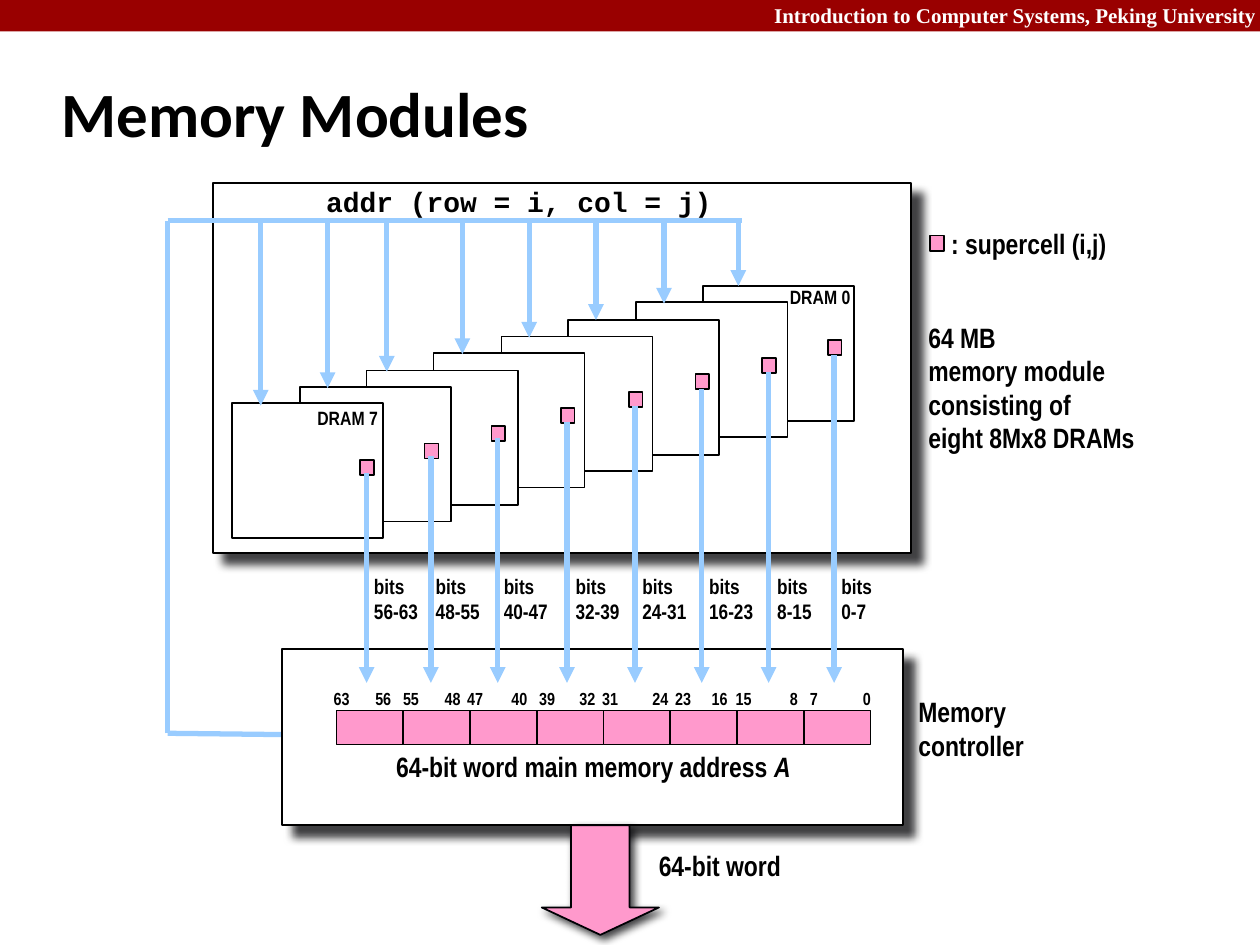
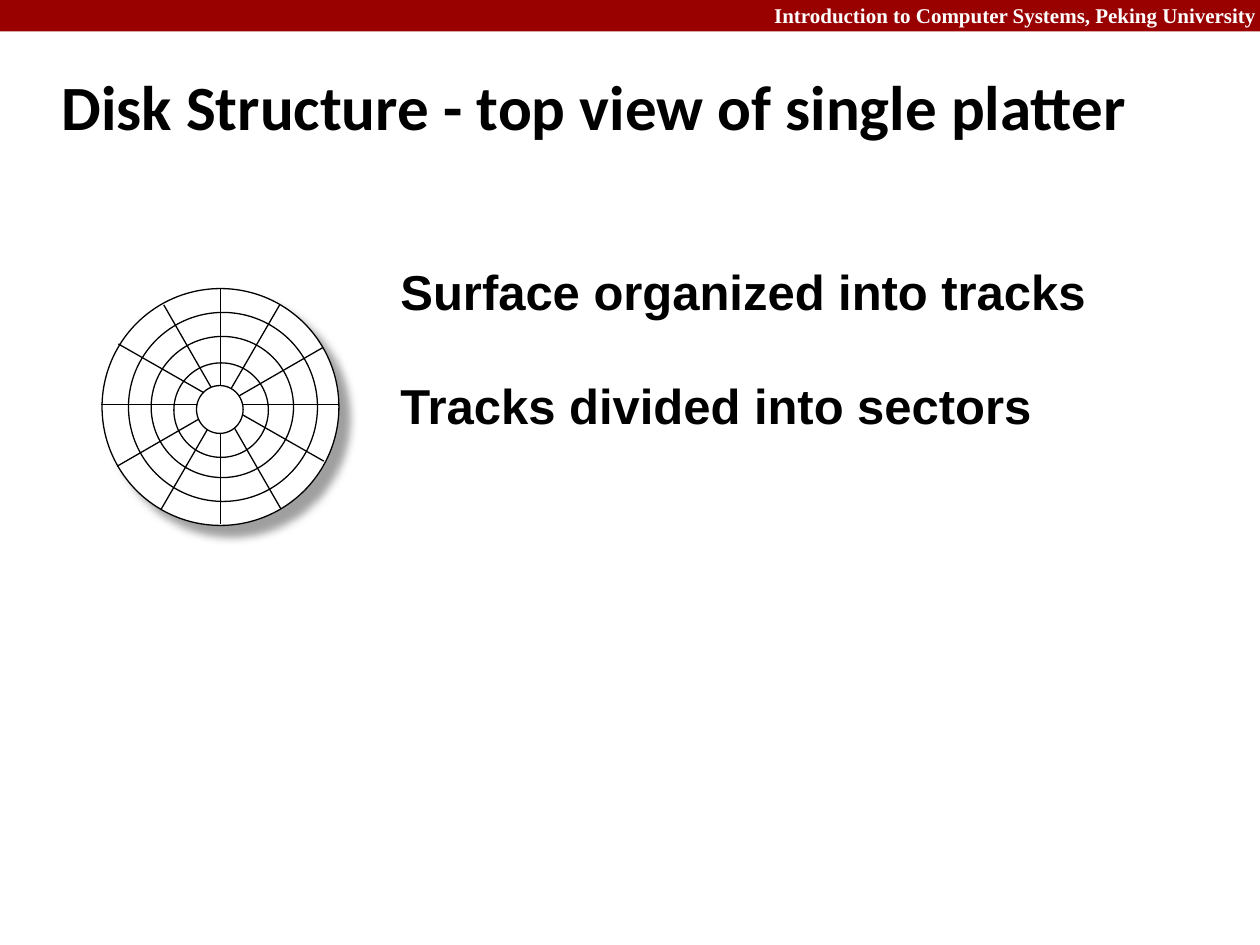
import pptx
import pptx.dml.color
import pptx.enum.shapes
import pptx.enum.text
import pptx.oxml
import pptx.oxml.ns
import pptx.util
from lxml import etree

PX = 9144
BLACK, WHITE, RED = "000000", "FFFFFF", "990000"
PINK, SKY, SHADE, GREY = "FF99CC", "99CCFF", "000004", "808080"
NARROW = "Arial Narrow"
SHAPE = pptx.enum.shapes.MSO_SHAPE
ALIGN = pptx.enum.text.PP_ALIGN
ANCHOR = pptx.enum.text.MSO_ANCHOR
FIT = pptx.enum.text.MSO_AUTO_SIZE
qn = pptx.oxml.ns.qn


def emu(*lengths):
    return [pptx.util.Emu(n * PX) for n in lengths]


def color(value):
    return pptx.dml.color.RGBColor.from_string(value)


class Deck:
    def __init__(self):
        self.prs = pptx.Presentation()
        self.prs.slide_width, self.prs.slide_height = emu(1000, 750)

    def slide(self):
        self.s = self.prs.slides.add_slide(self.prs.slide_layouts[6])
        self.shape(0, 0, 1000, 25, fill=RED, line=None)
        self.text(600, -3, 407, 30, "Introduction to Computer Systems, Peking University",
                  12, "Times New Roman", WHITE, align=ALIGN.RIGHT,
                  anchor=ANCHOR.TOP, wrap=True)

    def title(self, y, w, words):
        self.text(39, y, w, 83, words, 36, "Calibri", wrap=True, fit=FIT.NONE)

    def shape(self, x, y, w, h, kind=SHAPE.RECTANGLE, fill=WHITE, line=BLACK, width=1):
        sp = self.s.shapes.add_shape(kind, *emu(x, y, w, h))
        sp.shadow.inherit = False
        if fill:
            sp.fill.solid()
            sp.fill.fore_color.rgb = color(fill)
        else:
            sp.fill.background()
        if line:
            sp.line.color.rgb = color(line)
            sp.line.width = pptx.util.Pt(width)
        else:
            sp.line.fill.background()
        return sp

    def shadow(self, sp, tint=SHADE, distance=8.5):
        effects = sp._element.spPr.find(qn("a:effectLst"))
        outer = etree.SubElement(
            effects, qn("a:outerShdw"), blurRad=str(pptx.util.Pt(5)),
            dist=str(pptx.util.Pt(distance)), dir="2700000", algn="tl", rotWithShape="0")
        clr = etree.SubElement(outer, qn("a:srgbClr"), val=tint)
        etree.SubElement(clr, qn("a:alpha"), val="75000")

    def line(self, x1, y1, x2, y2, tint=SKY, width=3, arrow=False):
        cx = self.s.shapes.add_connector(
            pptx.enum.shapes.MSO_CONNECTOR.STRAIGHT, *emu(x1, y1, x2, y2))
        cx.line.color.rgb = color(tint)
        cx.line.width = pptx.util.Pt(width)
        if arrow:
            etree.SubElement(cx.line._get_or_add_ln(), qn("a:tailEnd"), type="triangle")
        etree.SubElement(cx._element.spPr, qn("a:effectLst"))

    def text(self, x, y, w, h, words, size=16, font=NARROW, tint=BLACK,
             align=ALIGN.LEFT, anchor=ANCHOR.MIDDLE, wrap=False, fit=FIT.SHAPE_TO_FIT_TEXT):
        tf = self.s.shapes.add_textbox(*emu(x, y, w, h)).text_frame
        tf.word_wrap, tf.auto_size, tf.vertical_anchor = wrap, fit, anchor
        tf.text = words
        for p in tf.paragraphs:
            p.alignment = align
            p.font.size, p.font.name, p.font.bold = pptx.util.Pt(size), font, True
            p.font.color.rgb = color(tint)
        return tf


def memory_modules(deck):
    deck.slide()
    deck.title(48, 830, "Memory Modules")
    for box in ((169, 145, 554, 294), (224, 515, 493, 140)):
        deck.shadow(deck.shape(*box))
    for i in range(8):
        deck.shape(round(558 - 53.4 * i), round(227 + 13.3 * i), 120, 107)

    deck.shape(738, 187, 11, 12, fill=PINK)
    deck.text(745, 175, 171, 37, ": supercell (i,j)")
    deck.text(727, 249, 220, 117,
              "64 MB\nmemory module\nconsisting of\neight 8Mx8 DRAMs")
    deck.text(719, 546, 123, 64, "Memory\ncontroller")

    deck.line(133, 175, 589, 175)
    deck.text(249, 141, 328, 37, "addr (row = i, col = j)", font="Courier New")
    deck.line(223, 583, 133, 582)
    deck.line(133, 582, 133, 175)
    deck.text(242, 317, 69, 29, "DRAM 7", 11)
    deck.text(617, 221, 69, 29, "DRAM 0", 11)

    address_x = (586, 527, 473, 420, 367, 307, 260, 207)
    data_x = (662, 610, 557, 504, 450, 395, 342, 291)
    bits_x = (658, 607, 553, 500, 447, 390, 336, 287)
    bits_w = (50, 53) + (63,) * 6
    high_x = (633, 574, 526, 468, 418, 361, 310, 255)
    low_x = (675, 617, 555, 508, 450, 396, 343, 288)
    columns = zip(address_x, data_x, bits_x, bits_w, high_x, low_x)
    for i, (address, data, bits, width, high, low) in enumerate(columns):
        first, last = 8 * i, 8 * i + 7
        deck.line(address, 175, address, round(227.4 + 13.5 * i), arrow=True)
        deck.shape(data - 5, round(270 + 13.6 * i), 11, 12, fill=PINK)
        deck.line(data, round(282 + 13.3 * i), data, 542, arrow=True)
        deck.text(bits, 450, width, 50, f"bits\n{first}-{last}", 12)
        for x, bit in ((high, last), (low, first)):
            deck.text(x, 541, 35 if bit > 9 else 28, 27, str(bit), 10)
        deck.shape(638 - 53 * i, 564, 53, 27, fill=PINK)

    tf = deck.text(301, 590, 340, 37, "64-bit word main memory address ", align=ALIGN.CENTER)
    r = tf.paragraphs[0].add_run()
    r.text = "A"
    r.font.italic = True

    arrow = deck.shape(430, 655, 93, 87, SHAPE.DOWN_ARROW, PINK, SHADE)
    arrow.adjustments[1] = 0.25
    deck.shadow(arrow, distance=3)
    deck.text(513, 668, 118, 37, "64-bit word")


def disk_structure(deck):
    deck.slide()
    deck.title(42, 928, "Disk Structure - top view of single platter")
    platter = deck.shape(81, 229, 188, 188, SHAPE.OVAL, width=0.75)
    deck.shadow(platter, GREY)
    spokes = ((175, 229, 175, 416), (222, 242, 128, 404), (256, 276, 93, 370),
              (268, 321, 80, 321), (257, 366, 94, 273), (223, 404, 130, 242))
    for spoke in spokes:
        deck.line(*spoke, BLACK, 0.75)
    deck.shape(156, 306, 37, 38, SHAPE.OVAL, width=0.75)
    for track in ((102, 248, 150, 150), (120, 267, 113, 112), (138, 288, 75, 75)):
        deck.shape(*track, SHAPE.OVAL, None, width=0.75)
    for y, words in ((167, "Surface organized into tracks"),
                     (258, "Tracks divided into sectors")):
        deck.text(308, y, 625, 92, words, 28, "Arial",
                  anchor=ANCHOR.BOTTOM, wrap=True, fit=FIT.NONE)


def main():
    deck = Deck()
    memory_modules(deck)
    disk_structure(deck)
    deck.prs.save("out.pptx")


if __name__ == "__main__":
    main()
